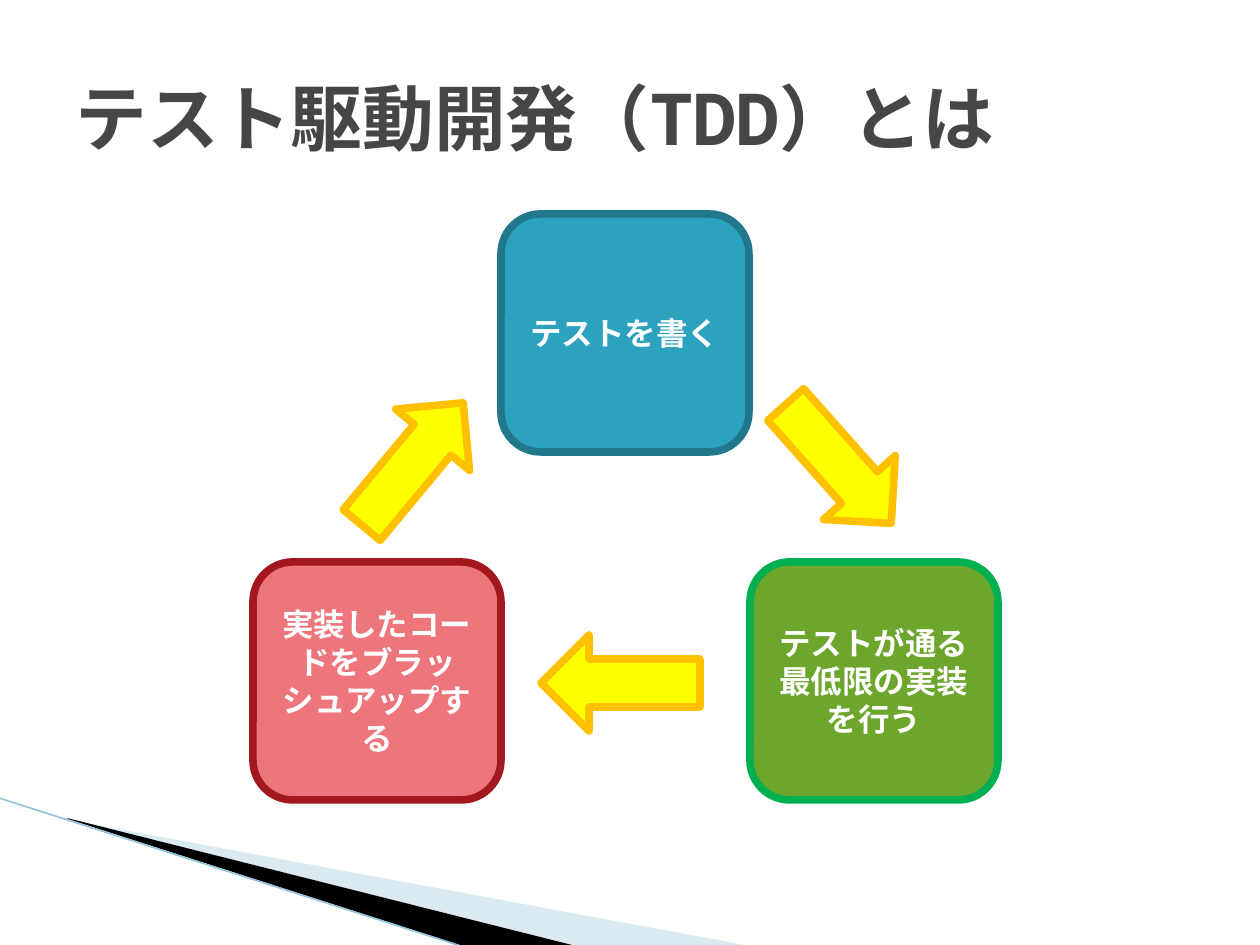
from lxml import etree
from pptx import Presentation
from pptx.dml.color import RGBColor
from pptx.enum.shapes import MSO_CONNECTOR, MSO_SHAPE
from pptx.enum.text import MSO_ANCHOR, MSO_AUTO_SIZE, PP_ALIGN
from pptx.oxml.ns import qn
from pptx.util import Emu, Pt

PX = 914400 // 126
FONT = "Noto Sans Mono"
ROUND_RECT, RIGHT_ARROW = MSO_SHAPE.ROUNDED_RECTANGLE, MSO_SHAPE.RIGHT_ARROW
STRAIGHT = MSO_CONNECTOR.STRAIGHT
MIDDLE = MSO_ANCHOR.MIDDLE
LEFT, CENTER = PP_ALIGN.LEFT, PP_ALIGN.CENTER
NO_FIT = MSO_AUTO_SIZE.NONE

WHITE = RGBColor(0xFF, 0xFF, 0xFF)
BLACK = RGBColor(0x00, 0x00, 0x00)
TITLE_GREY = RGBColor(0x46, 0x46, 0x46)
PALE_BLUE = RGBColor(0xA0, 0xCB, 0xDC)
EDGE_BLUE = RGBColor(0x97, 0xC5, 0xD8)
TEAL, DARK_TEAL = RGBColor(0x2D, 0xA2, 0xBF), RGBColor(0x21, 0x78, 0x8D)
GREEN, BRIGHT_GREEN = RGBColor(0x6C, 0xA6, 0x2C), RGBColor(0x00, 0xB0, 0x50)
PINK, DARK_RED = RGBColor(0xEC, 0x76, 0x7C), RGBColor(0xA3, 0x17, 0x1E)
YELLOW, AMBER = RGBColor(0xFF, 0xFF, 0x00), RGBColor(0xFF, 0xC0, 0x00)


def px(*lengths):
    return [Emu(length * PX) for length in lengths]


def style_text(paragraph, size, color, align):
    paragraph.alignment = align
    font = paragraph.font
    font.name, font.size, font.bold = FONT, Pt(size), True
    font.color.rgb = color


def add_outlined(slide, kind, box, fill, outline):
    shape = slide.shapes.add_shape(kind, *px(*box))
    shape.shadow.inherit = False
    shape.fill.solid()
    shape.fill.fore_color.rgb = fill
    shape.line.color.rgb = outline
    shape.line.width = Pt(4.33)
    return shape


def add_wedge(slide, points, color, alpha=None):
    outline = slide.shapes.build_freeform(*points[0], scale=PX)
    outline.add_line_segments(points[1:], close=True)
    wedge = outline.convert_to_shape()
    wedge.shadow.inherit = False
    wedge.fill.solid()
    wedge.fill.fore_color.rgb = color
    wedge.line.fill.background()
    if alpha:
        tint = wedge.fill._xPr.find(qn("a:solidFill"))[0]
        etree.SubElement(tint, qn("a:alpha")).set("val", str(alpha * 1000))


def add_corner_sweep(slide, left, top, width, height):
    """Wedges and edge line in the lower left corner."""
    bottom = top + height
    add_wedge(slide, [(left + 70, top + 22), (left + width, bottom - 2),
                      (left + 576, bottom - 2), (left + 70, top + 21)], PALE_BLUE, 40)
    add_wedge(slide, [(left + 68, top + 20), (left + 577, bottom - 2),
                      (left + 470, bottom), (left + 69, top + 21)], BLACK)
    edge = slide.shapes.add_connector(STRAIGHT, *px(left, top, left + 468, bottom))
    edge.line.color.rgb = EDGE_BLUE
    edge.line.width = Pt(0.95)
    etree.SubElement(edge._element.spPr, qn("a:effectLst"))


def add_title(slide, *box):
    title = slide.shapes.title
    title.left, title.top, title.width, title.height = px(*box)
    frame = title.text_frame
    frame.text = "テスト駆動開発（TDD）とは"
    frame.auto_size = NO_FIT
    frame.vertical_anchor = MIDDLE
    style_text(frame.paragraphs[0], 41, TITLE_GREY, LEFT)


def add_cycle(slide, left, top, width, height):
    """Three steps in a triangle, joined by arrows."""
    step_w, step_h = 248, 238
    middle, right = left + (width - step_w) // 2, left + width - step_w
    lower = top + height - step_h
    steps = [
        (middle, top, TEAL, DARK_TEAL, "テストを書く"),
        (right, lower, GREEN, BRIGHT_GREEN, "テストが通る\n最低限の実装\nを行う"),
        (left, lower, PINK, DARK_RED, "実装したコードをブラッシュアップする"),
    ]
    for x, y, fill, outline, text in steps:
        step = add_outlined(slide, ROUND_RECT, (x, y, step_w, step_h), fill, outline)
        frame = step.text_frame
        frame.text = text
        frame.word_wrap = True
        frame.vertical_anchor = MIDDLE
        for paragraph in frame.paragraphs:
            style_text(paragraph, 18, WHITE, CENTER)

    # Arrows between the steps
    arrow_w, arrow_h = 159, 96
    arrows = [(288, 421, 180), (506, 202, 48.4), (80, 202, 309.7)]
    for dx, dy, angle in arrows:
        box = (left + dx, top + dy, arrow_w, arrow_h)
        add_outlined(slide, RIGHT_ARROW, box, YELLOW, AMBER).rotation = angle


prs = Presentation()
prs.slide_width, prs.slide_height = px(1260, 945)
slide = prs.slides.add_slide(prs.slide_layouts[5])
add_corner_sweep(slide, -1, 798, 751, 150)
add_title(slide, 63, 38, 1134, 158)
add_cycle(slide, 253, 214, 745, 586)
prs.save("out.pptx")
